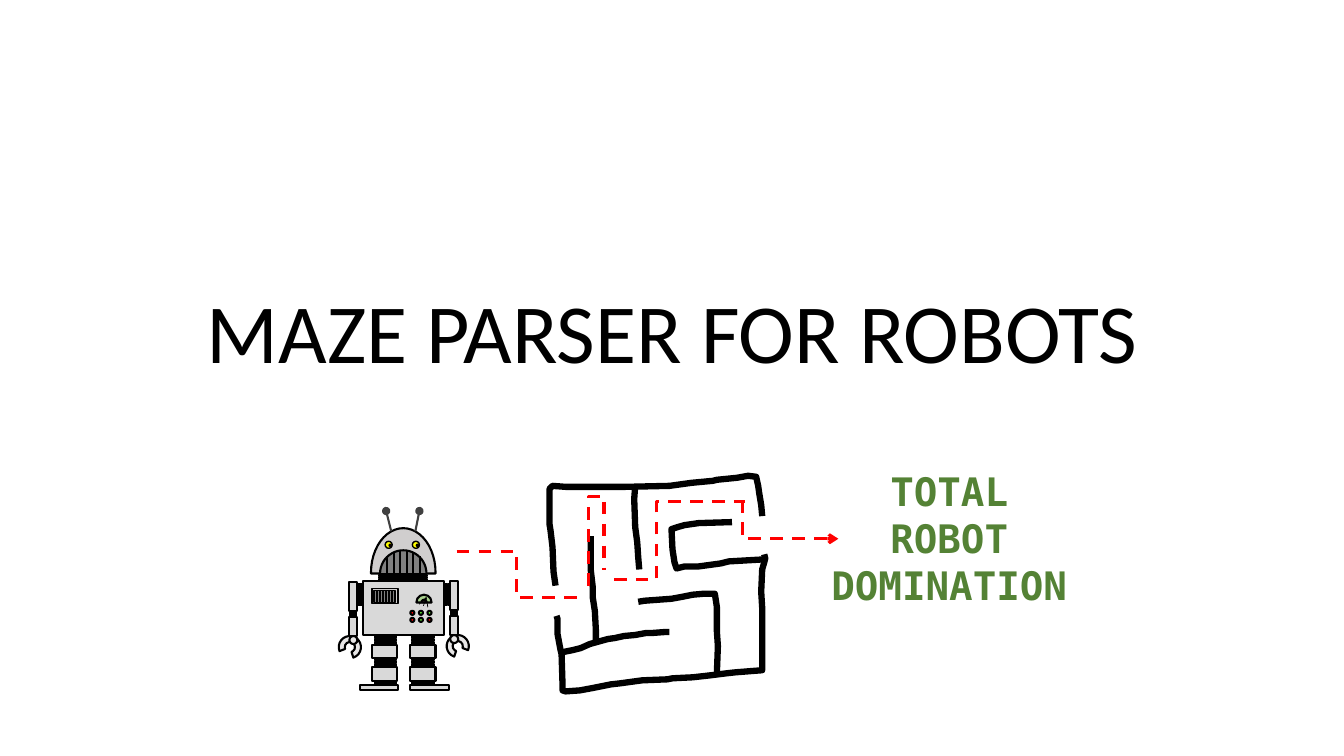
"""Build the title slide: a robot follows a dashed route through a maze to its goal."""
from lxml import etree
from pptx import Presentation
from pptx import util as u
from pptx.dml.color import RGBColor
from pptx.enum import dml, shapes, text
from pptx.oxml.ns import qn

COLORS = {
    "black": "000000", "steel": "D9D9D9", "head": "D0CECE", "claw": "E7E6E6",
    "joint": "595959", "grille": "808080", "hub": "767171", "antenna": "404040",
    "dial": "A9D18E", "eye": "FFFF00", "red": "FF0000", "green": "66FF33",
    "goal": "548235",
}
HALF_DISC = (107.02, 0.99)
KINDS = shapes.MSO_SHAPE


def write(shape, content, font="Calibri", size=18, color="black", bold=False,
          anchor=text.MSO_ANCHOR.MIDDLE, wrap=True, spacing=None):
    frame = shape.text_frame
    frame.word_wrap = wrap
    frame.vertical_anchor = anchor
    frame.text = content
    for paragraph in frame.paragraphs:
        paragraph.alignment = text.PP_ALIGN.CENTER
        paragraph.line_spacing = spacing
        paragraph.font.name = font
        paragraph.font.size = u.Pt(size)
        paragraph.font.bold = bold
        paragraph.font.color.rgb = RGBColor.from_string(COLORS[color])


def add_part(kind, left, top, width, height, fill, line=1.5, rotation=0, adjust=()):
    part = robot.shapes.add_shape(kind, *map(u.Inches, (left, top, width, height)))
    part.shadow.inherit = False
    part.fill.solid()
    part.fill.fore_color.rgb = RGBColor.from_string(COLORS[fill])
    part.line.color.rgb = RGBColor.from_string(COLORS["black"])
    part.line.width = u.Pt(line)
    part.rotation = rotation
    for index, value in enumerate(adjust):
        part.adjustments[index] = value


deck = Presentation()
deck.slide_width, deck.slide_height = u.Inches(13.33), u.Inches(7.5)
slide = deck.slides.add_slide(deck.slide_layouts[6])

title = slide.shapes.add_textbox(*map(u.Inches, (1.67, 1.23, 10, 2.61)))
write(title, "MAZE PARSER FOR ROBOTS", size=60, anchor=text.MSO_ANCHOR.BOTTOM, spacing=0.9)

robot = slide.shapes.add_group_shape()
add_part(KINDS.CHORD, 3.68, 5.24, 0.64, 0.88, "head", adjust=HALF_DISC)
add_part(KINDS.RECTANGLE, 3.6, 5.76, 0.8, 0.54, "steel")
add_part(KINDS.CHORD, 3.77, 5.46, 0.46, 0.46, "grille", adjust=HALF_DISC)
for eye_left in (3.82, 4.09):
    add_part(KINDS.OVAL, eye_left, 5.37, 0.07, 0.07, "eye", line=1)
    add_part(KINDS.OVAL, eye_left + 0.04, 5.4, 0.02, 0.02, "red", line=1)
add_part(KINDS.CHORD, 4.13, 5.9, 0.15, 0.15, "dial", adjust=HALF_DISC)
add_part(KINDS.CHORD, 4.18, 5.95, 0.05, 0.05, "hub", adjust=HALF_DISC)

for ring in range(3):
    add_part(KINDS.RECTANGLE, 3.76, 5.7 + 0.02 * ring, 0.48, 0.01, "joint")
for leg_left, joint_left, foot_left in ((3.69, 3.72, 3.57), (4.07, 4.09, 4.07)):
    add_part(KINDS.RECTANGLE, leg_left, 6.4, 0.25, 0.13, "steel")
    add_part(KINDS.RECTANGLE, leg_left, 6.62, 0.25, 0.14, "steel")
    for joint_top in (6.31, 6.34, 6.37, 6.53, 6.56, 6.59, 6.77):
        add_part(KINDS.RECTANGLE, joint_left, joint_top, 0.21, 0.02, "joint")
    add_part(KINDS.RECTANGLE, foot_left, 6.8, 0.38, 0.05, "steel")

for arm_left, arm_top, shoulder_left, claw_left, claw_turn, claw_arc in (
    (3.46, 5.77, 3.45, 3.36, 23.6, (81, 28.73, 0.27)),
    (4.46, 5.76, 4.31, 4.43, 336.4, (79.27, 27, 0.27)),
):
    for ring in range(3):
        add_part(KINDS.RECTANGLE, shoulder_left + 0.015 * ring, 5.89, 0.21, 0.01, "joint", rotation=90)
    add_part(KINDS.RECTANGLE, arm_left, arm_top, 0.08, 0.29, "steel")
    add_part(KINDS.BLOCK_ARC, claw_left, arm_top + 0.54, 0.22, 0.22, "claw",
             rotation=claw_turn, adjust=claw_arc)
    add_part(KINDS.OVAL, arm_left + 0.005, arm_top + 0.54, 0.08, 0.08, "claw")
    add_part(KINDS.RECTANGLE, arm_left, arm_top + 0.35, 0.08, 0.19, "steel")
    for ring in range(3):
        add_part(KINDS.RECTANGLE, arm_left + 0.01, arm_top + 0.29 + 0.02 * ring, 0.06, 0.02, "joint")

for lamp_top, lamps in ((6.06, ("red", "green", "green")), (6.13, ("red", "green", "red"))):
    for column, lamp in enumerate(lamps):
        add_part(KINDS.OVAL, 4.07 + 0.085 * column, lamp_top, 0.04, 0.04, lamp)
add_part(KINDS.RECTANGLE, 3.69, 5.84, 0.26, 0.15, "head", line=1)
for slot in range(7):
    add_part(KINDS.RECTANGLE, 3.71 + 0.03 * slot, 5.86, 0.03, 0.12, "grille", line=1)

goal = slide.shapes.add_shape(KINDS.OVAL, *map(u.Inches, (7.91, 4.4, 3.01, 1.87)))
goal.shadow.inherit = False
goal.fill.background()
goal.line.fill.background()
write(goal, "TOTAL\nROBOT\vDOMINATION", font="DejaVu Sans Mono", size=28,
      color="goal", bold=True, wrap=False)

WALLS = [
    [(5.51, 5.81), (5.49, 5.67), (5.48, 5.43), (5.46, 5.26), (5.45, 5.2), (5.45, 4.97),
     (5.45, 4.85), (5.48, 4.82), (5.61, 4.83), (6.2, 4.83), (6.64, 4.82), (6.86, 4.79),
     (7.07, 4.77), (7.11, 4.76), (7.31, 4.74), (7.42, 4.72), (7.5, 4.73), (7.52, 4.82),
     (7.53, 4.89), (7.55, 5.01), (7.56, 5.12)],
    [(5.52, 6.11), (5.53, 6.14), (5.53, 6.29), (5.56, 6.45), (5.57, 6.49), (5.58, 6.8),
     (5.58, 6.85), (5.61, 6.86), (5.75, 6.85), (5.86, 6.83), (6.01, 6.8), (6.06, 6.79),
     (6.15, 6.78), (6.37, 6.75), (6.62, 6.74), (6.67, 6.73), (6.87, 6.72), (7.05, 6.7),
     (7.21, 6.68), (7.3, 6.67), (7.56, 6.65), (7.56, 6.03), (7.55, 5.87), (7.56, 5.65),
     (7.58, 5.58), (7.59, 5.54), (7.58, 5.5)],
    [(5.58, 6.47), (5.68, 6.45), (5.76, 6.43), (5.85, 6.39), (5.92, 6.37), (6.03, 6.34),
     (6.1, 6.33), (6.19, 6.31), (6.3, 6.3), (6.41, 6.28), (6.47, 6.28), (6.6, 6.27), (6.64, 6.27)],
    [(5.91, 6.38), (5.91, 6.25), (5.9, 6.06), (5.88, 5.93), (5.88, 5.83), (5.86, 5.66), (5.86, 5.32)],
    [(6.3, 4.82), (6.29, 4.95), (6.3, 5.23), (6.32, 5.38), (6.33, 5.53), (6.34, 5.65)],
    [(7.11, 6.68), (7.12, 6.41), (7.11, 6.26), (7.11, 6.02), (7.09, 5.89), (6.98, 5.89),
     (6.87, 5.9), (6.77, 5.92), (6.66, 5.94), (6.39, 5.96), (6.33, 5.97)],
    [(7.26, 5.18), (6.93, 5.19), (6.79, 5.21), (6.72, 5.23), (6.66, 5.25), (6.67, 5.45),
     (6.69, 5.58), (6.71, 5.64), (6.79, 5.62), (6.93, 5.62), (7.15, 5.59), (7.23, 5.57), (7.58, 5.55)],
]
maze = slide.shapes.add_group_shape()
for corners in WALLS:
    start, *others = [(u.Inches(x), u.Inches(y)) for x, y in corners]
    outline = maze.shapes.build_freeform(*start)
    outline.add_line_segments(others, close=False)
    wall = outline.convert_to_shape()
    wall.shadow.inherit = False
    wall.fill.background()
    wall.line.color.rgb = RGBColor.from_string(COLORS["black"])
    wall.line.width = u.Pt(4.5)

TOOTH_GAPS = [(3.84, 5.52), (3.91, 5.48), (3.97, 5.46), (4.04, 5.46), (4.1, 5.48), (4.17, 5.52)]
STROKES = [((x, top, x, 5.69), "black", 1.5, None) for x, top in TOOTH_GAPS] + [
    ((4.21, 5.98, 4.23, 5.92), "black", 0.5, "arrow"),
    ((4.12, 5.27, 4.16, 5.07), "antenna", 1.5, "oval"),
    ((3.88, 5.27, 3.83, 5.07), "antenna", 1.5, "oval"),
]
ROUTE = [
    ((4.53, 5.47, 5.72, 5.93), "bentConnector3", 0, 50000, None),
    ((8.03, 4.68, 7.65, 5.63), "bentConnector2", 270, None, "arrow"),
    ((5.99, 5.81, 5.84, 5.66), "bentConnector3", 90, 589800, None),
    ((6.09, 5.75, 7.39, 4.98), "bentConnector3", 0, 32600, None),
]
lines = []
for ends, color, weight, tip in STROKES:
    stroke = robot.shapes.add_connector(shapes.MSO_CONNECTOR.STRAIGHT, *map(u.Inches, ends))
    lines.append((stroke, color, weight, tip))
for ends, bend, turn, knee, tip in ROUTE:
    leg = slide.shapes.add_connector(shapes.MSO_CONNECTOR.ELBOW, *map(u.Inches, ends))
    leg.line.dash_style = dml.MSO_LINE.DASH
    properties = leg.element.spPr
    properties.find(qn("a:xfrm")).set("rot", str(turn * 60000))
    geometry = properties.find(qn("a:prstGeom"))
    geometry.set("prst", bend)
    if knee is not None:
        etree.SubElement(geometry.find(qn("a:avLst")), qn("a:gd"), name="adj1", fmla=f"val {knee}")
    lines.append((leg, "red", 2.25, tip))
for connector, color, weight, tip in lines:
    connector.line.color.rgb = RGBColor.from_string(COLORS[color])
    connector.line.width = u.Pt(weight)
    properties = connector.element.spPr
    if tip:
        etree.SubElement(properties.find(qn("a:ln")), qn("a:tailEnd"), type=tip)
    etree.SubElement(properties, qn("a:effectLst"))

deck.save("out.pptx")
